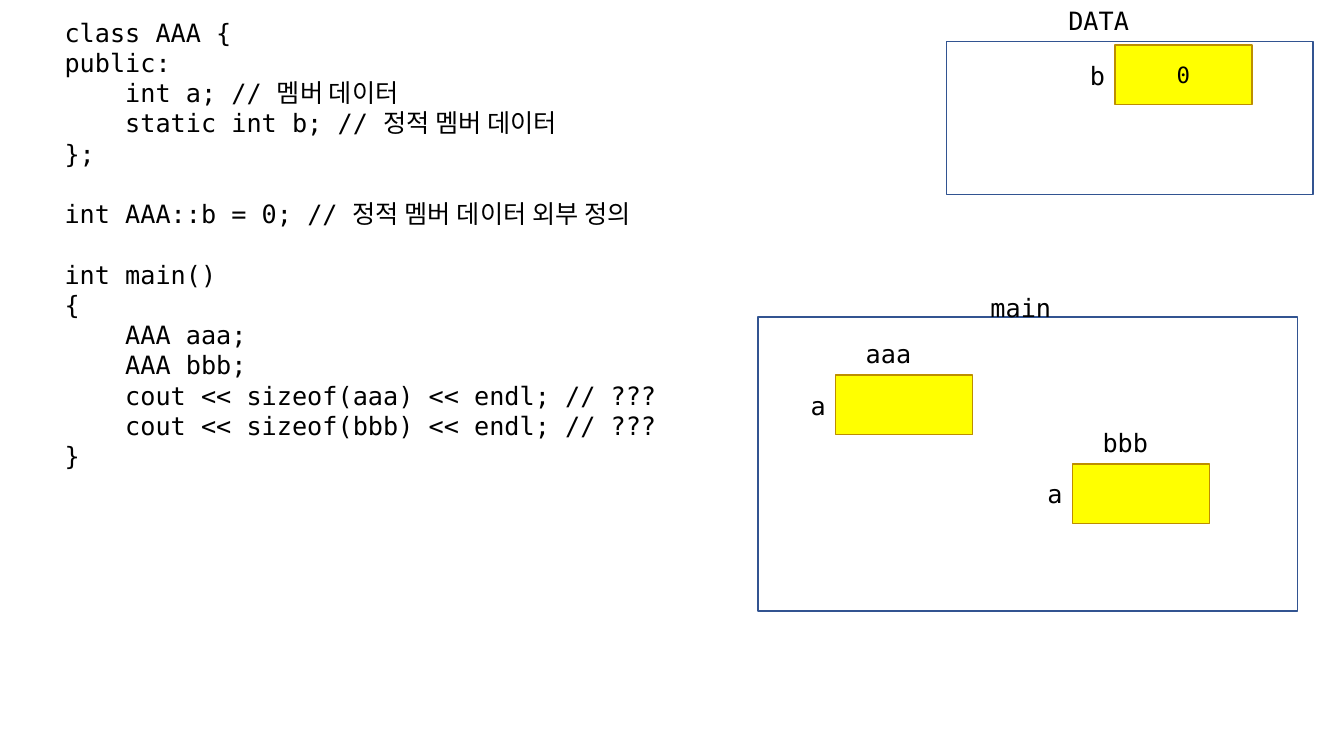
from pptx import Presentation
from pptx.dml.color import RGBColor
from pptx.enum.shapes import MSO_SHAPE as Shape
from pptx.enum.text import MSO_ANCHOR as Anchor, MSO_AUTO_SIZE as AutoSize, PP_ALIGN as Align
from pptx.util import Pt

FONT = "DejaVu Sans Mono"
LINE_HEIGHT = 21.6
INDENT = 43.35
LABEL_HEIGHT = 29
VARIABLE_SIZE = (98, 42.5)
CODE = """class AAA {
public:
    int a; // 멤버 데이터
    static int b; // 정적 멤버 데이터
};

int AAA::b = 0; // 정적 멤버 데이터 외부 정의

int main()
{
    AAA aaa;
    AAA bbb;
    cout << sizeof(aaa) << endl; // ???
    cout << sizeof(bbb) << endl; // ???
}"""


def color(value):
    """Turn a hex string into a colour."""
    return RGBColor.from_string(value)


def style(para, size=18, align=Align.LEFT):
    """Set the font and alignment of a paragraph."""
    para.font.name, para.font.size = FONT, Pt(size)
    para.font.color.rgb = color("000000")
    para.alignment = align


def add_text(page, left, top, width, height):
    """Add an empty wrapping text box and return its frame."""
    frame = page.shapes.add_textbox(Pt(left), Pt(top), Pt(width), Pt(height)).text_frame
    frame.word_wrap = True
    frame.auto_size = AutoSize.SHAPE_TO_FIT_TEXT
    return frame


def add_label(page, text, left, top, width, align=Align.LEFT):
    """Add a one-line label."""
    para = add_text(page, left, top, width, LABEL_HEIGHT).paragraphs[0]
    para.text = text
    style(para, align=align)


def add_rectangle(page, left, top, width, height, fill, line):
    """Add a flat outlined rectangle."""
    box = page.shapes.add_shape(Shape.RECTANGLE, Pt(left), Pt(top), Pt(width), Pt(height))
    box.shadow.inherit = False
    box.fill.solid()
    box.fill.fore_color.rgb = color(fill)
    box.line.color.rgb = color(line)
    box.line.width = Pt(1)
    return box


def add_code(page, left, top, width, height):
    """Write the program, with indents and gaps taken from its layout."""
    frame = add_text(page, left, top, width, height)
    para, gap = frame.paragraphs[0], 0
    for number, line in enumerate(CODE.splitlines()):
        if not line:
            gap += LINE_HEIGHT
            continue
        if number:
            para = frame.add_paragraph()
        para.text = line.strip()
        style(para)
        para.space_before = Pt(gap)
        level = (len(line) - len(line.lstrip())) // 4
        para._p.get_or_add_pPr().set("marL", str(Pt(level * INDENT)))
        gap = 0


def add_variable(page, left, top, name, owner="", value=""):
    """Draw a memory cell with its member name, owner object and value."""
    cell = add_rectangle(page, left, top, *VARIABLE_SIZE, "FFFF00", "BD8E00")
    if value:
        cell.text_frame.vertical_anchor = Anchor.MIDDLE
        para = cell.text_frame.paragraphs[0]
        para.text = value
        style(para, 16, Align.CENTER)
    if owner:
        add_label(page, owner, left + 14.4, top - 29.5, 69)
    add_label(page, name, left - 62.5, top + 7, 62.5, Align.RIGHT)


def add_memory(page, left, top, width, height, title, title_offset, variables):
    """Draw a memory area with its title and the variables inside it."""
    add_rectangle(page, left, top, width, height, "FFFFFF", "325491")
    shift, rise, title_width = title_offset
    add_label(page, title, left + shift, top - rise, title_width)
    for right, down, *texts in variables:
        add_variable(page, left + right, top + down, *texts)


def main():
    """Build and save the slide."""
    deck = Presentation()
    deck.slide_width, deck.slide_height = Pt(960), Pt(540)
    page = deck.slides.add_slide(deck.slide_layouts[6])
    add_code(page, 39, 8.6, 480, 334)
    add_memory(page, 676, 29.5, 262, 109.5, "DATA", (80, 29.5, 74),
               [(120.3, 2.7, "b", "", "0")])
    add_memory(page, 541.4, 226.4, 385.5, 210, "main", (159, 21, 65.5),
               [(55.5, 41.5, "a", "aaa"), (224.7, 104.9, "a", "bbb")])
    deck.save("out.pptx")


main()
